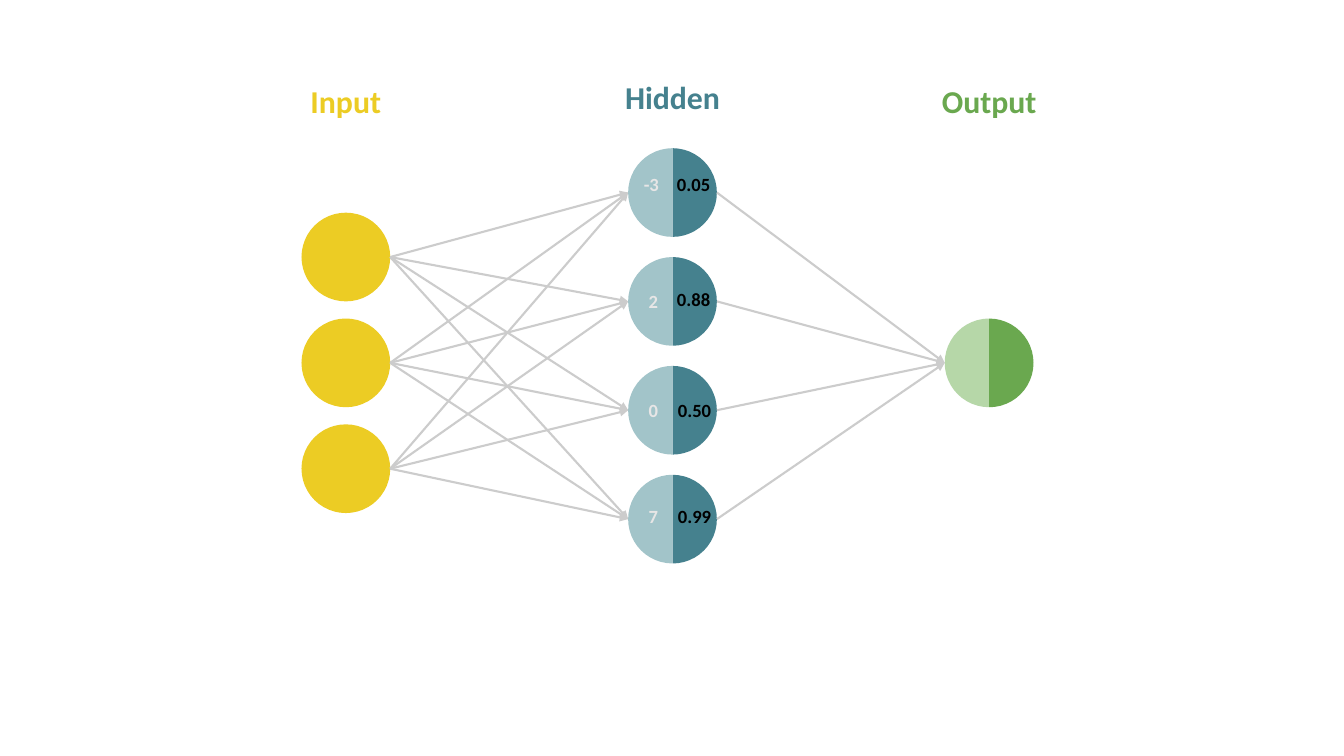
from lxml import etree
from pptx import Presentation
from pptx import util as u
from pptx.dml.color import RGBColor
from pptx.enum import shapes, text
from pptx.oxml.ns import qn

THEME = {
    "font": "Calibri",
    "label_size": 22.7, "value_size": 13.3, "line_width": 1.5,
    "input": "ECCC24",
    "hidden_left": "A2C4C9", "hidden": "45818E",
    "output_left": "B6D7A8", "output": "6AA84F",
    "edge": "CCCCCC", "sum": "E7E6E6", "activation": "000000",
}
WIDTH, HEIGHT = 13.33, 7.5
NODE = 0.88
LAYERS = [
    {"name": "input", "label": "Input", "x": 3.43, "mid": 3.6, "gap": 1.05, "count": 3,
     "label_top": 0.68, "label_width": 1.26},
    {"name": "hidden", "label": "Hidden", "x": 6.67, "mid": 3.53, "gap": 1.08, "count": 4,
     "label_top": 0.64, "label_width": 1.45},
    {"name": "output", "label": "Output", "x": 9.81, "mid": 3.6, "gap": 0, "count": 1,
     "label_top": 0.68, "label_width": 1.45},
]
VALUES = [
    [("-3", -0.21, -0.08), ("0.05", 0.21, -0.08)],
    [("2", -0.19, 0), ("0.88", 0.21, -0.02)],
    [("0", -0.19, 0), ("0.50", 0.22, 0)],
    [("7", -0.19, -0.03), ("0.99", 0.22, -0.03)],
]
VALUE_STYLES = [("sum", 0.51), ("activation", 0.63)]
VALUE_HEIGHT, LABEL_HEIGHT, LABEL_INSET = 0.33, 0.52, 0.13


def color(name):
    return RGBColor.from_string(THEME[name])


def centers(layer):
    first = layer["mid"] - layer["gap"] * (layer["count"] - 1) / 2
    return [(layer["x"], first + layer["gap"] * i) for i in range(layer["count"])]


def add_node(s, kind, center, fill, rotation=0):
    x, y = center
    sp = s.shapes.add_shape(kind, u.Inches(x - NODE / 2), u.Inches(y - NODE / 2),
                            u.Inches(NODE), u.Inches(NODE))
    if kind == shapes.MSO_SHAPE.PIE:
        sp.adjustments[0], sp.adjustments[1] = 54, 162
    sp.rotation = rotation
    sp.shadow.inherit = False
    sp.fill.solid()
    sp.fill.fore_color.rgb = color(fill)
    sp.line.fill.background()


def add_edge(s, start, end):
    points = (start[0] + NODE / 2, start[1], end[0] - NODE / 2, end[1])
    sp = s.shapes.add_connector(shapes.MSO_CONNECTOR.STRAIGHT, *map(u.Inches, points))
    sp.line.color.rgb = color("edge")
    sp.line.width = u.Pt(THEME["line_width"])
    etree.SubElement(sp.line._get_or_add_ln(), qn("a:tailEnd"), type="triangle")
    etree.SubElement(sp._element.spPr, qn("a:effectLst"))


def add_text(s, words, left, top, width, height, size, fill, inset=None):
    sp = s.shapes.add_textbox(*map(u.Inches, (left, top, width, height)))
    tf = sp.text_frame
    tf.word_wrap = True
    if inset:
        for side in ("left", "right", "top", "bottom"):
            setattr(tf, f"margin_{side}", u.Inches(inset))
    p = tf.paragraphs[0]
    p.alignment = text.PP_ALIGN.CENTER
    r = p.add_run()
    r.text = words
    for key, value in {"name": THEME["font"], "size": u.Pt(THEME[size]), "bold": True}.items():
        setattr(r.font, key, value)
    r.font.color.rgb = color(fill)


def main():
    prs = Presentation()
    prs.slide_width, prs.slide_height = u.Inches(WIDTH), u.Inches(HEIGHT)
    s = prs.slides.add_slide(prs.slide_layouts[6])

    for layer in LAYERS:
        name = layer["name"]
        for center in centers(layer):
            if name == "input":
                add_node(s, shapes.MSO_SHAPE.OVAL, center, name)
            else:
                add_node(s, shapes.MSO_SHAPE.PIE, center, f"{name}_left")
                add_node(s, shapes.MSO_SHAPE.PIE, center, name, 180)

    for source, target in zip(LAYERS, LAYERS[1:]):
        for start in centers(source):
            for end in centers(target):
                add_edge(s, start, end)

    for (x, y), pair in zip(centers(LAYERS[1]), VALUES):
        for (words, dx, dy), (fill, width) in zip(pair, VALUE_STYLES):
            add_text(s, words, x + dx - width / 2, y + dy - VALUE_HEIGHT / 2,
                     width, VALUE_HEIGHT, "value_size", fill)

    for layer in LAYERS:
        width = layer["label_width"]
        add_text(s, layer["label"], layer["x"] - width / 2, layer["label_top"],
                 width, LABEL_HEIGHT, "label_size", layer["name"], LABEL_INSET)

    prs.save("out.pptx")


if __name__ == "__main__":
    main()
